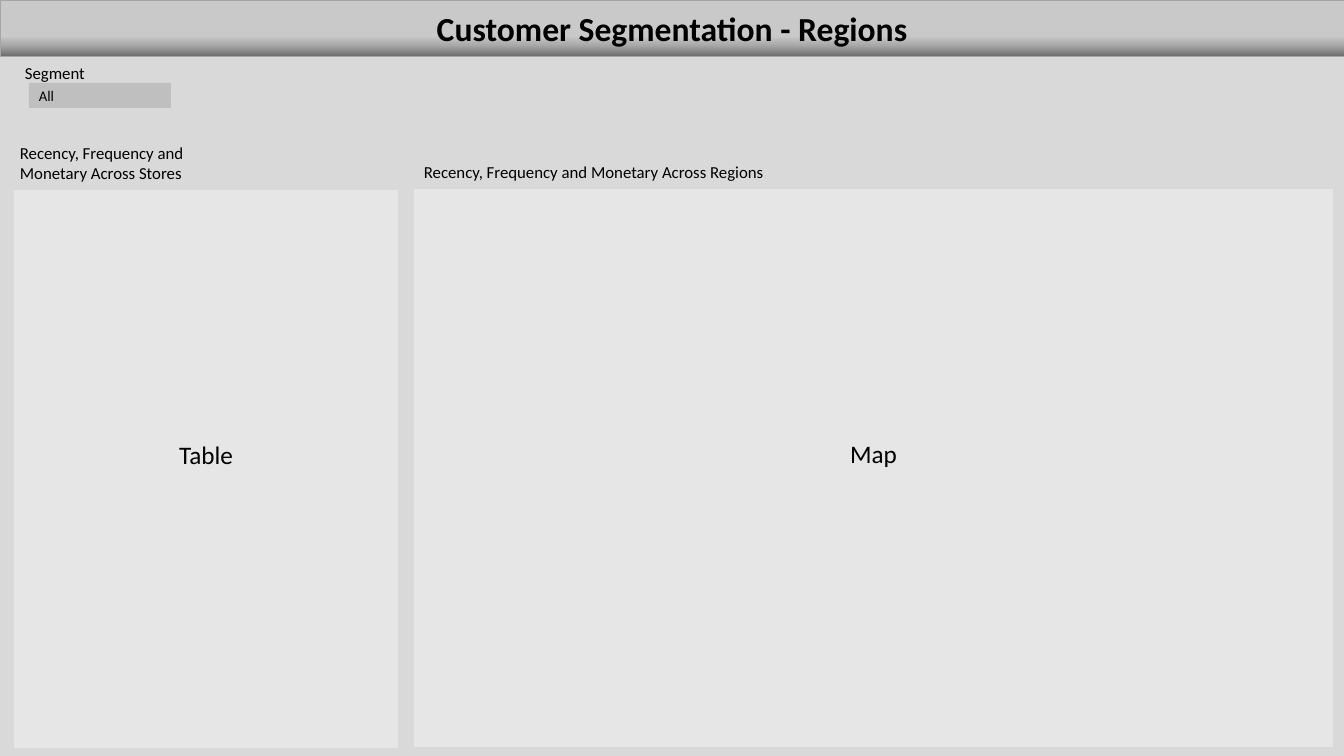
from copy import deepcopy

from pptx import Presentation
from pptx import util as u
from pptx.dml.color import RGBColor
from pptx.enum import shapes, text
from pptx.oxml.ns import qn

PX = 9071.43  # EMU per px, 100.8 px to the inch
FONT = "Calibri"
COLORS = {k: RGBColor.from_string(v) for k, v in {
    "background": "D9D9D9", "filter": "BFBFBF", "panel": "E7E6E6",
    "outline": "A5A5A5", "text": "000000",
}.items()}
BAR_STOPS = [(0, "6F6F6F"), (0.19, "A8A8A8"), (0.36, "C9C9C9")]
LEFT, CENTER = text.PP_ALIGN.LEFT, text.PP_ALIGN.CENTER
TOP, MIDDLE = text.MSO_ANCHOR.TOP, text.MSO_ANCHOR.MIDDLE


def px(*lengths):
    return [u.Emu(round(n * PX)) for n in lengths]


def write(sp, words, size, align=LEFT, anchor=MIDDLE, bold=False):
    tf = sp.text_frame
    frame = {"word_wrap": True, "auto_size": text.MSO_AUTO_SIZE.NONE,
             "vertical_anchor": anchor}
    for name, value in frame.items():
        setattr(tf, name, value)
    p = tf.paragraphs[0]
    p.alignment = align
    r = p.add_run()
    r.text = words
    for name, value in {"name": FONT, "size": u.Pt(size), "bold": bold}.items():
        setattr(r.font, name, value)
    r.font.color.rgb = COLORS["text"]


prs = Presentation()
prs.slide_width, prs.slide_height = px(1344, 756)
s = prs.slides.add_slide(prs.slide_layouts[5])
s.background.fill.solid()
s.background.fill.fore_color.rgb = COLORS["background"]

# Title bar
title = s.shapes.title
title.left, title.top, title.width, title.height = px(0, 0, 1344, 56)
title.fill.gradient()
title.fill.gradient_angle = 90
stop_list = title._element.spPr.find(".//" + qn("a:gsLst"))
stop_list.append(deepcopy(stop_list[-1]))
for stop, (position, color) in zip(title.fill.gradient_stops, BAR_STOPS):
    stop.position = position
    stop.color.rgb = RGBColor.from_string(color)
title.line.color.rgb = COLORS["outline"]
title.line.width = u.Pt(0.5)
write(title, "Customer Segmentation - Regions", 24, CENTER, bold=True)

# Filter box and content panels; the bottom inset lifts the panel names
for words, box, color, size, align, bottom in [
    ("All", (29, 83, 142, 25), "filter", 10.5, LEFT, 5),
    ("Table", (14, 190, 384, 558), "panel", 18, CENTER, 35),
    ("Map", (414, 189, 919, 558), "panel", 18, CENTER, 35),
]:
    sp = s.shapes.add_shape(shapes.MSO_SHAPE.RECTANGLE, *px(*box))
    sp.shadow.inherit = False
    sp.fill.solid()
    sp.fill.fore_color.rgb = COLORS[color]
    sp.line.fill.background()
    write(sp, words, size, align)
    sp.text_frame.margin_bottom = px(bottom)[0]

# Labels
for words, box in [
    ("Segment", (15, 58, 118, 30)),
    ("Recency, Frequency and Monetary Across Stores", (10, 138, 246, 51)),
    ("Recency, Frequency and Monetary Across Regions", (414, 157, 425, 30)),
]:
    write(s.shapes.add_textbox(*px(*box)), words, 12, anchor=TOP)

prs.save("out.pptx")
